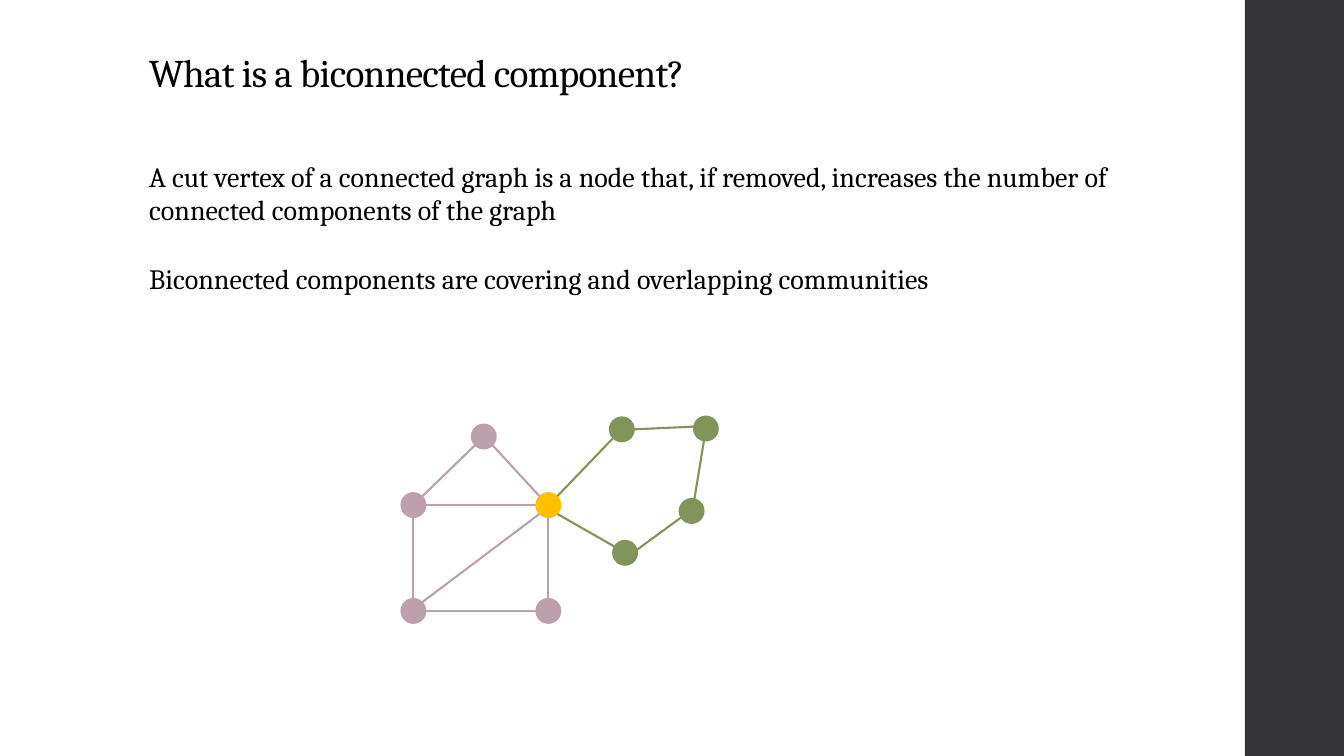
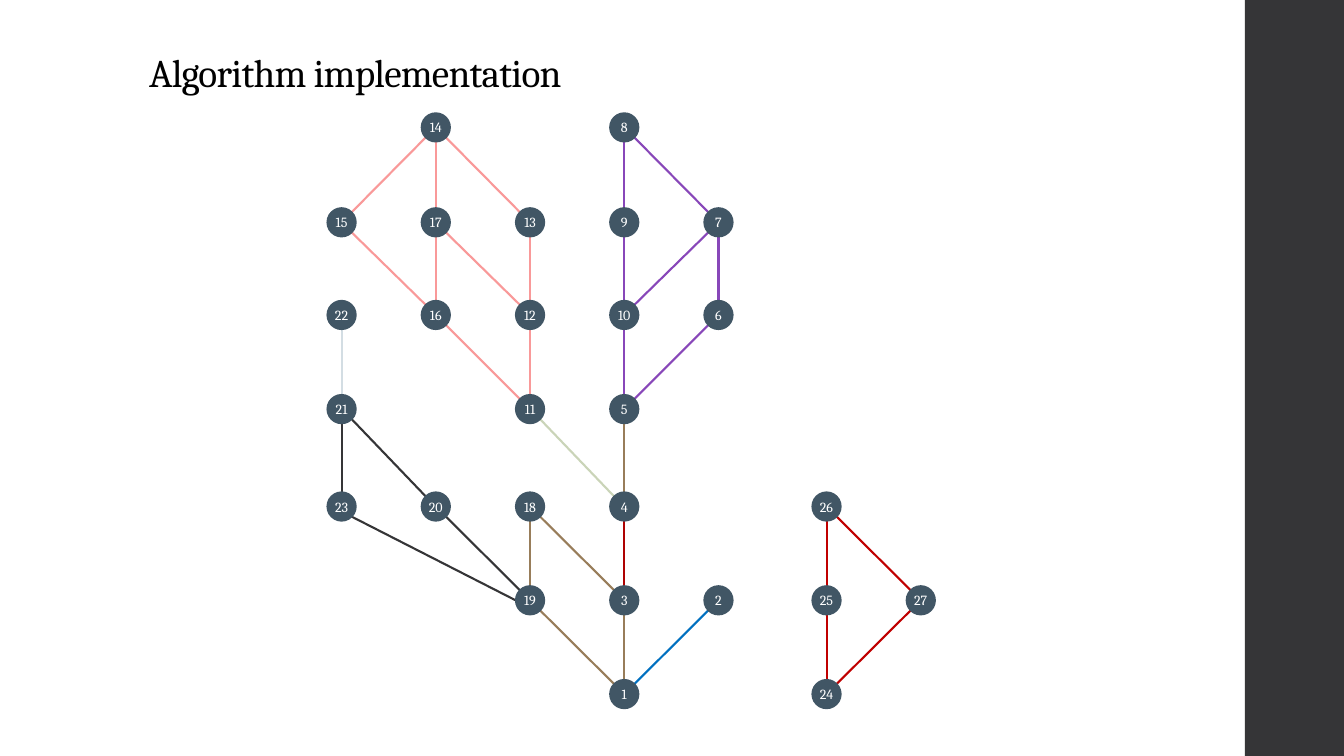
from dataclasses import dataclass
from math import atan2, cos, degrees, radians, sin
from typing import Optional

from lxml.etree import SubElement
from pptx import Presentation
from pptx.dml.color import RGBColor
from pptx.enum.shapes import MSO_CONNECTOR, MSO_SHAPE
from pptx.enum.text import MSO_ANCHOR as Anchor, PP_ALIGN as Align
from pptx.oxml.ns import qn
from pptx.util import Pt

FONT = "Cambria"
WIDTH, HEIGHT = 960, 540
BAND_LEFT, TEXT_LEFT = 889.2, 99.4
COLORS = {
    "white": "FFFFFF", "black": "000000", "dark": "353537", "slate": "415665",
    "mauve": "BCA0AB", "gold": "FFC000", "olive": "81955B",
    "blue": "0070C0", "tan": "987D5A", "crimson": "AE0202", "red": "C00000",
    "mist": "D3DDE3", "sage": "CAD4B8", "pink": "F99999", "purple": "8847B9",
}


@dataclass(frozen=True)
class Node:
    x: float
    y: float
    size: float
    color: str
    turn: float = 0
    label: str = ""

    def site(self, angle: float) -> tuple[float, float]:
        """Point on the rim nearest to an angle, out of eight equal steps."""
        snapped = radians(round((angle - self.turn) / 45) * 45 + self.turn)
        radius = self.size / 2
        return self.x + radius * cos(snapped), self.y + radius * sin(snapped)


@dataclass(frozen=True)
class Edge:
    start: str
    end: str
    color: str
    end_angle: Optional[float] = None


def rgb(name: str) -> RGBColor:
    return RGBColor.from_string(COLORS[name])


def add_run(p, text: str, size: float, color: str):
    r = p.add_run()
    r.text = text
    r.font.name, r.font.size = FONT, Pt(size)
    r.font.color.rgb = rgb(color)
    return r


def add_text(s, top: float, width: float, height: float, text: str, size: float):
    box = s.shapes.add_textbox(Pt(TEXT_LEFT), Pt(top), Pt(width), Pt(height))
    tf = box.text_frame
    tf.word_wrap = True
    return tf, add_run(tf.paragraphs[0], text, size, "black")


def add_slide(prs, title: str):
    """Blank slide with the side band and the title."""
    s = prs.slides.add_slide(prs.slide_layouts[6])
    band = s.shapes.add_shape(MSO_SHAPE.RECTANGLE, Pt(BAND_LEFT), 0,
                              Pt(WIDTH - BAND_LEFT), Pt(HEIGHT))
    band.shadow.inherit = False
    band.fill.solid()
    band.fill.fore_color.rgb = rgb("dark")
    band.line.fill.background()
    tf, r = add_text(s, 28.8, 763.2, 43.2, title, 28)
    tf.vertical_anchor = Anchor.BOTTOM
    tf.paragraphs[0].line_spacing = 0.9
    r.font._element.set("spc", "-50")
    return s


def add_edge(s, edge: Edge, nodes: dict[str, Node]) -> None:
    a, b = nodes[edge.start], nodes[edge.end]
    angle = degrees(atan2(b.y - a.y, b.x - a.x))
    end_angle = angle + 180 if edge.end_angle is None else edge.end_angle
    points = a.site(angle) + b.site(end_angle)
    line = s.shapes.add_connector(MSO_CONNECTOR.STRAIGHT, *map(Pt, points))
    line.line.color.rgb = rgb(edge.color)
    line.line.width = Pt(1.5)
    SubElement(line._element.spPr, qn("a:effectLst"))


def add_node(s, node: Node) -> None:
    half = node.size / 2
    sp = s.shapes.add_shape(MSO_SHAPE.FLOWCHART_CONNECTOR, Pt(node.x - half),
                            Pt(node.y - half), Pt(node.size), Pt(node.size))
    sp.shadow.inherit = False
    sp.rotation = node.turn
    sp.fill.solid()
    sp.fill.fore_color.rgb = sp.line.color.rgb = rgb(node.color)
    sp.line.width = Pt(1.1)
    if node.label:
        tf = sp.text_frame
        tf.word_wrap = False
        tf.vertical_anchor = Anchor.MIDDLE
        p = tf.paragraphs[0]
        p.alignment = Align.CENTER
        add_run(p, node.label, 10, "white")


def add_graph(s, nodes: dict[str, Node], edges: list[Edge]) -> None:
    for edge in edges:
        add_edge(s, edge, nodes)
    for node in nodes.values():
        add_node(s, node)


def edges_from(groups: list[tuple[str, str]]) -> list[Edge]:
    """Read pairs such as '1-2 3-4', grouped by colour."""
    return [Edge(*pair.split("-"), color)
            for color, pairs in groups for pair in pairs.split()]


DOT = 17.4
LEFT, CUT_X, CUT_Y, BOTTOM = 295.3, 391.7, 360.8, 436.4
COMPONENT_NODES = {
    "roof": Node(345.6, 311.8, DOT, "mauve"),
    "west": Node(LEFT, CUT_Y, DOT, "mauve"),
    "southwest": Node(LEFT, BOTTOM, DOT, "mauve"),
    "south": Node(CUT_X, BOTTOM, DOT, "mauve"),
    "cut": Node(CUT_X, CUT_Y, DOT, "gold"),
    "low": Node(446.5, 394.9, DOT, "olive", 30.8),
    "high": Node(444.2, 306.7, DOT, "olive"),
    "east": Node(494, 365, DOT, "olive", 13.3),
    "corner": Node(504.2, 306.1, DOT, "olive", 54),
}
COMPONENT_EDGES = edges_from([
    ("mauve", "west-roof cut-roof cut-south southwest-south southwest-west "
              "west-cut southwest-cut"),
    ("olive", "low-cut high-cut east-low corner-east corner-high"),
])

COLUMNS = [244 + 67.3 * i for i in range(5)] + [590.4 + 67.3 * i for i in range(2)]
ROWS = [91, 158.8, 225, 292.2, 361.8, 428.8, 495.8]
# One line per row, one entry per column; "." leaves the place free.
TREE = [
    ". 14 . 8 . . .",
    "15 17 13 9 7 . .",
    "22 16 12 10 6 . .",
    "21 . 11 5 . . .",
    "23 20 18 4 . 26 .",
    ". . 19 3 2 25 27",
    ". . . 1 . 24 .",
]
TREE_NODES = {
    label: Node(x, y, 20.5, "slate", label=label)
    for y, row in zip(ROWS, TREE)
    for x, label in zip(COLUMNS, row.split()) if label != "."
}
TREE_EDGES = edges_from([
    ("blue", "2-1"),
    ("tan", "18-3 3-1 19-1 18-19 5-4"),
    ("dark", "20-19 21-23 21-20"),
    ("mist", "22-21"),
    ("crimson", "4-3"),
    ("sage", "11-4"),
    ("pink", "11-16 11-12 12-13 16-17 12-17 13-14 17-14 16-15 14-15"),
    ("purple", "6-5 10-5 9-10 7-10 7-6 8-9 8-7"),
    ("red", "27-24 25-24 26-25 27-26"),
]) + [Edge("23", "19", "dark", end_angle=180)]


def main() -> None:
    prs = Presentation()
    prs.slide_width, prs.slide_height = Pt(WIDTH), Pt(HEIGHT)

    s = add_slide(prs, "What is a biconnected component?")
    add_text(s, 110.2, 714.2, 55.4,
             "A cut vertex of a connected graph is a node that, if removed, "
             "increases the number of connected components of the graph", 20)
    add_text(s, 183.6, 714.2, 31.7,
             "Biconnected components are covering and overlapping communities", 20)
    add_graph(s, COMPONENT_NODES, COMPONENT_EDGES)

    s = add_slide(prs, "Algorithm implementation")
    add_graph(s, TREE_NODES, TREE_EDGES)

    prs.save("out.pptx")


if __name__ == "__main__":
    main()
